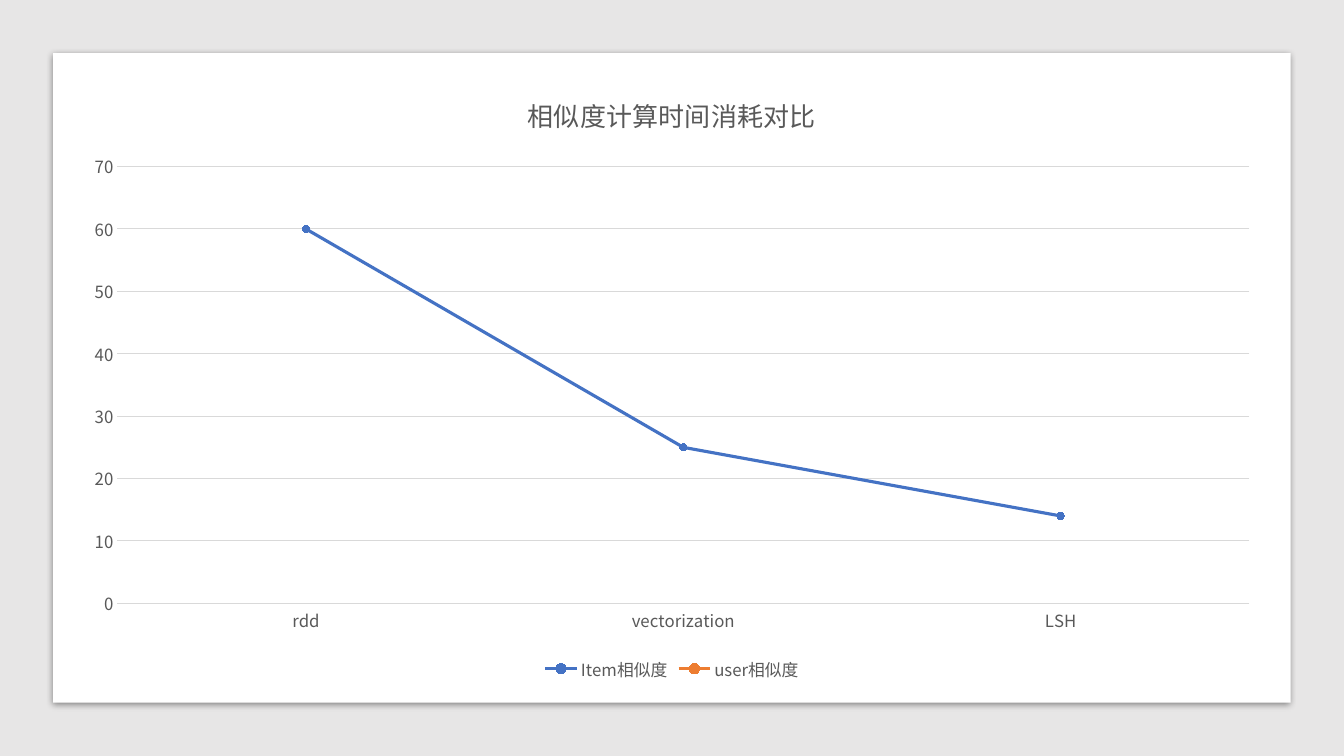
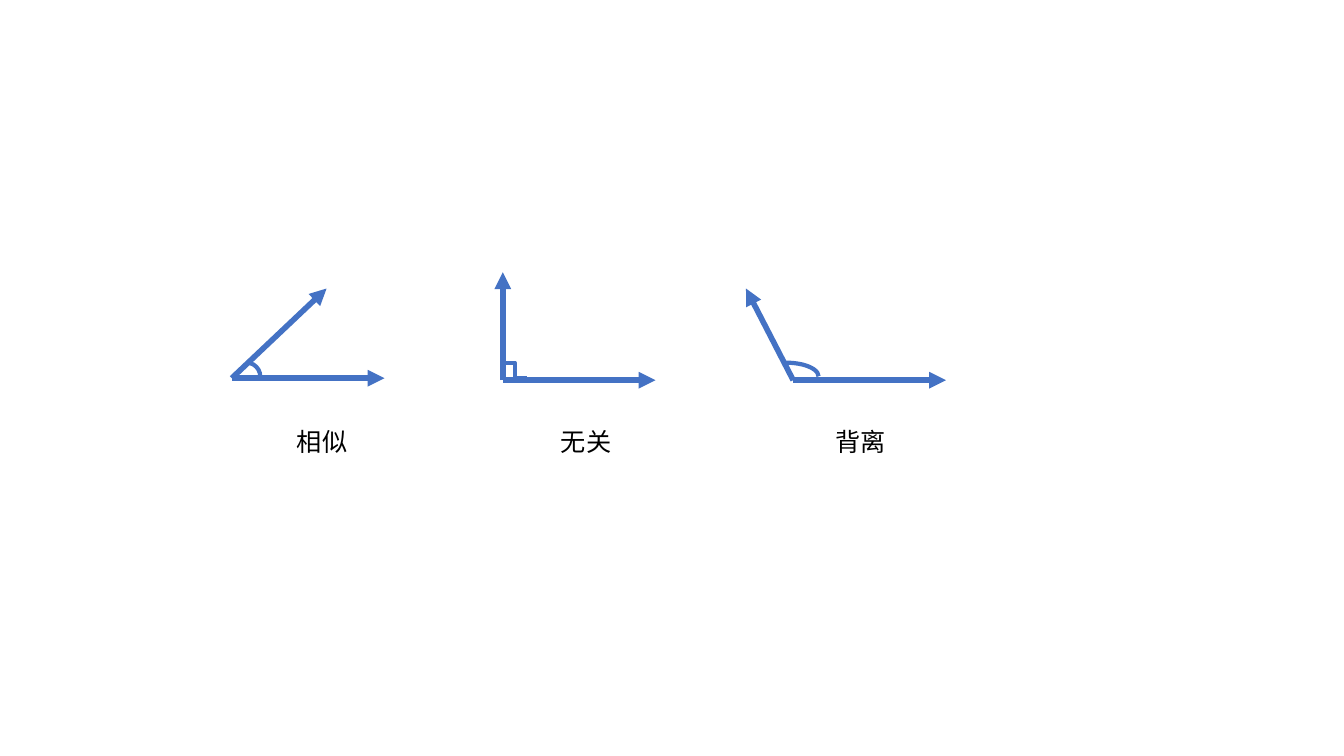
from dataclasses import dataclass

from lxml import etree
from pptx import Presentation
from pptx.chart.data import CategoryChartData
from pptx.dml.color import RGBColor
from pptx.enum.chart import XL_CHART_TYPE, XL_LEGEND_POSITION, XL_MARKER_STYLE, XL_TICK_MARK
from pptx.enum.shapes import MSO_CONNECTOR, MSO_SHAPE
from pptx.enum.text import MSO_AUTO_SIZE, PP_ALIGN
from pptx.oxml.ns import qn
from pptx.util import Cm, Pt

LINE_MARKERS = XL_CHART_TYPE.LINE_MARKERS
LEGEND_BOTTOM = XL_LEGEND_POSITION.BOTTOM
CIRCLE = XL_MARKER_STYLE.CIRCLE
NO_TICKS = XL_TICK_MARK.NONE
STRAIGHT, ELBOW = MSO_CONNECTOR.STRAIGHT, MSO_CONNECTOR.ELBOW
RECTANGLE, ARC = MSO_SHAPE.RECTANGLE, MSO_SHAPE.ARC
BLANK_LAYOUT = 6


@dataclass(frozen=True)
class Theme:
    font: str = "Noto Sans CJK SC"
    blue: RGBColor = RGBColor(0x44, 0x72, 0xC4)
    orange: RGBColor = RGBColor(0xED, 0x7D, 0x31)
    backdrop: RGBColor = RGBColor(0xE7, 0xE6, 0xE6)
    card: RGBColor = RGBColor(0xFF, 0xFF, 0xFF)
    grid: RGBColor = RGBColor(0xD9, 0xD9, 0xD9)
    chart_text: RGBColor = RGBColor(0x59, 0x59, 0x59)
    label_text: RGBColor = RGBColor(0, 0, 0)
    title_size: Pt = Pt(18.6)
    label_size: Pt = Pt(18)
    chart_size: Pt = Pt(12)
    arrow_width: Pt = Pt(4)
    angle_width: Pt = Pt(3)
    series_width: Pt = Pt(2.25)
    grid_width: Pt = Pt(0.75)


THEME = Theme()
SLIDE_WIDTH, SLIDE_HEIGHT = Cm(33.87), Cm(19.05)


# Shared helpers
def style_font(font, size, color):
    font.name, font.size, font.bold = THEME.font, size, False
    font.color.rgb = color


def add_east_asian_font(root):
    """Use the theme font for Chinese wherever a Latin font is set."""
    for latin in list(root.iter(qn("a:latin"))):
        east_asian = etree.Element(qn("a:ea"), typeface=THEME.font)
        latin.addnext(east_asian)


def style_line(line, color, width):
    line.color.rgb = color
    line.width = width


def add_panel(slide, box, color):
    panel = slide.shapes.add_shape(RECTANGLE, *box)
    panel.shadow.inherit = False
    panel.fill.solid()
    panel.fill.fore_color.rgb = color
    panel.line.fill.background()
    return panel


def add_soft_shadow(shape):
    effects = shape._element.spPr.find(qn("a:effectLst"))
    shadow = etree.SubElement(
        effects, qn("a:outerShdw"), blurRad=str(Pt(5)), dist=str(Pt(1.4)),
        dir="5400000", algn="t", rotWithShape="0")
    color = etree.SubElement(shadow, qn("a:srgbClr"), val="000000")
    etree.SubElement(color, qn("a:alpha"), val="43000")


def add_line(slide, kind, start, end, width):
    connector = slide.shapes.add_connector(kind, *start, *end)
    style_line(connector.line, THEME.blue, width)
    etree.SubElement(connector._element.spPr, qn("a:effectLst"))
    return connector


def add_arrow(slide, start, end):
    arrow = add_line(slide, STRAIGHT, start, end, THEME.arrow_width)
    line = arrow.line._get_or_add_ln()
    etree.SubElement(line, qn("a:tailEnd"), type="triangle")


# Time comparison chart
def add_time_chart(slide, box):
    data = CategoryChartData()
    data.categories = ["rdd", "vectorization", "LSH"]
    data.add_series("Item相似度", [60, 25, 14])
    data.add_series("user相似度", [None, None, None])
    chart = slide.shapes.add_chart(LINE_MARKERS, *box, data).chart
    style_font(chart.font, THEME.chart_size, THEME.chart_text)

    # Title and legend
    chart.has_title = True
    chart.chart_title.include_in_layout = False
    title_frame = chart.chart_title.text_frame
    title_frame.text = "相似度计算时间消耗对比"
    style_font(title_frame.paragraphs[0].font, THEME.title_size, THEME.chart_text)
    chart.has_legend = True
    chart.legend.position = LEGEND_BOTTOM
    chart.legend.include_in_layout = False
    style_font(chart.legend.font, THEME.chart_size, THEME.chart_text)

    # Axes
    for axis in (chart.category_axis, chart.value_axis):
        axis.major_tick_mark = axis.minor_tick_mark = NO_TICKS
        style_font(axis.tick_labels.font, THEME.chart_size, THEME.chart_text)
    style_line(chart.category_axis.format.line, THEME.grid, THEME.grid_width)
    chart.value_axis.format.line.fill.background()
    style_line(chart.value_axis.major_gridlines.format.line, THEME.grid, THEME.grid_width)

    # Series
    for series, color in zip(chart.plots[0].series, (THEME.blue, THEME.orange)):
        series.smooth = False
        style_line(series.format.line, color, THEME.series_width)
        series.marker.style, series.marker.size = CIRCLE, 5
        series.marker.format.fill.solid()
        series.marker.format.fill.fore_color.rgb = color
        series.marker.format.line.color.rgb = color
    add_east_asian_font(chart._chartSpace)


def build_chart_slide(slide, box):
    left, top, width, height = box
    add_panel(slide, box, THEME.backdrop)
    margin = Cm(1.34)
    card = add_panel(slide, (left + margin, top + margin,
                             width - 2 * margin, height - 2 * margin), THEME.card)
    add_soft_shadow(card)
    inset = Cm(1.78)
    add_time_chart(slide, (left + inset, top + inset,
                           width - 2 * inset, height - 2 * inset))


# Vector angle diagrams
def add_arc_mark(slide, left, top, width, height):
    arc = slide.shapes.add_shape(ARC, left, top, width, height)
    arc.shadow.inherit = False
    arc.fill.background()
    style_line(arc.line, THEME.blue, THEME.angle_width)


def add_square_mark(slide, left, top, width, height):
    add_line(slide, ELBOW, (left, top), (left + width, top + height), THEME.angle_width)


def add_label(slide, text, center, top):
    width, height = Cm(1.79), Cm(1.02)
    label = slide.shapes.add_textbox(center - width // 2, top, width, height)
    frame = label.text_frame
    frame.word_wrap = False
    frame.auto_size = MSO_AUTO_SIZE.SHAPE_TO_FIT_TEXT
    paragraph = frame.paragraphs[0]
    paragraph.alignment = PP_ALIGN.CENTER
    run = paragraph.add_run()
    run.text = text
    style_font(run.font, THEME.label_size, THEME.label_text)
    add_east_asian_font(label._element)


def add_vector_pair(slide, vertex, tip, mark, mark_box, text, label_offset):
    """Draw two vectors from a vertex; all offsets are in cm from it."""
    x, y = vertex
    add_arrow(slide, vertex, (x + Cm(tip[0]), y + Cm(tip[1])))
    add_arrow(slide, vertex, (x + Cm(3.85), y))
    left, top, width, height = (Cm(length) for length in mark_box)
    mark(slide, x + left, y + top, width, height)
    add_label(slide, text, x + Cm(label_offset), Cm(10.62))


VECTOR_PAIRS = [
    # vertex, tip, angle mark, mark box, label, label centre
    ((5.84, 9.53), (2.39, -2.26), add_arc_mark, (0.03, -0.39, 0.69, 0.69), "相似", 2.28),
    ((12.67, 9.58), (0, -2.72), add_square_mark, (0, -0.44, 0.61, 0.39), "无关", 2.1),
    ((19.99, 9.58), (-1.19, -2.31), add_arc_mark, (-0.99, -0.44, 1.63, 0.69), "背离", 1.7),
]


def build_vector_slide(slide, box):
    left, top = box[:2]
    for (x, y), *parts in VECTOR_PAIRS:
        add_vector_pair(slide, (left + Cm(x), top + Cm(y)), *parts)


# Presentation
presentation = Presentation()
presentation.slide_width, presentation.slide_height = SLIDE_WIDTH, SLIDE_HEIGHT
for build_slide in (build_chart_slide, build_vector_slide):
    new_slide = presentation.slides.add_slide(presentation.slide_layouts[BLANK_LAYOUT])
    build_slide(new_slide, (0, 0, SLIDE_WIDTH, SLIDE_HEIGHT))
presentation.save("out.pptx")
